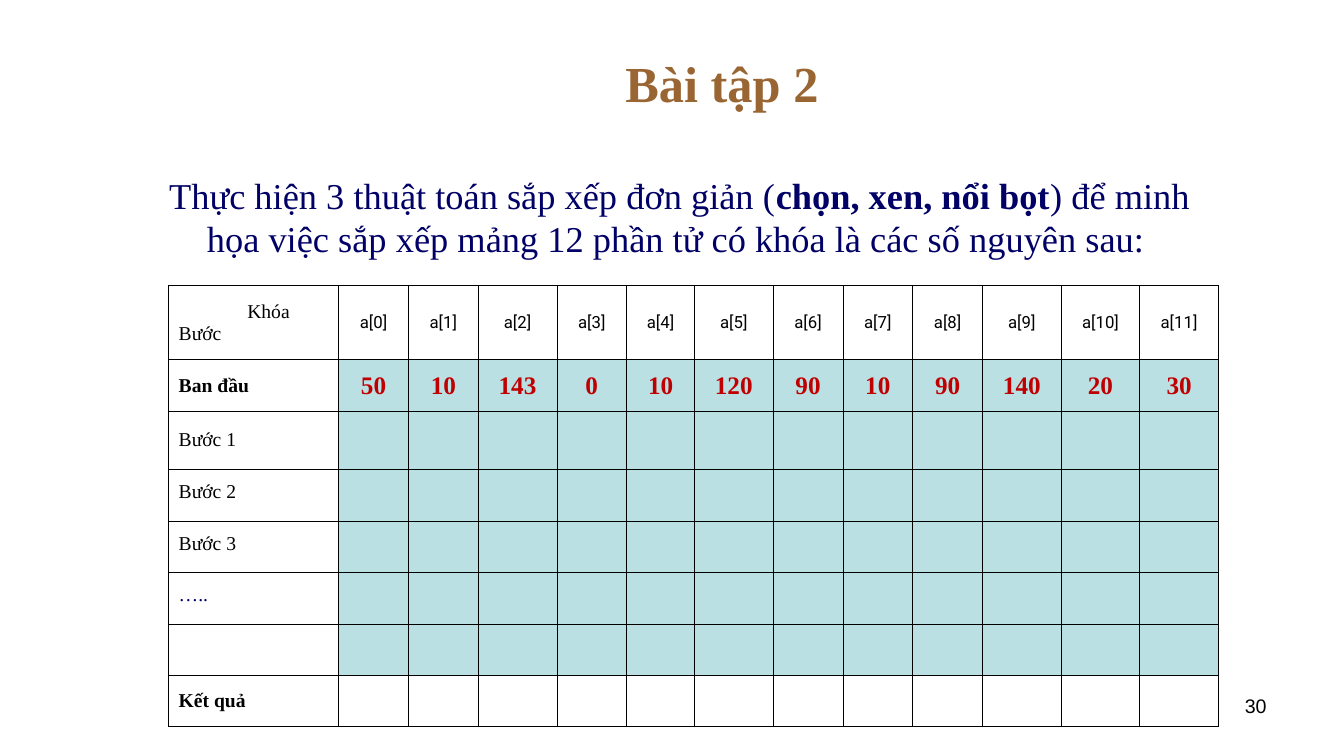
"""Build the sorting exercise slide with its step table."""
from lxml.etree import SubElement as Sub
from pptx import Presentation
from pptx.dml.color import RGBColor as RGB
from pptx.enum.text import MSO_ANCHOR as ANCHOR, PP_ALIGN as ALIGN
from pptx.oxml.ns import qn
from pptx.util import Pt

SERIF, SANS, HEAD = "Times New Roman", "Arial", "Roboto"
BLACK, NAVY, BROWN, RED, TEAL = "000000", "000066", "996633", "C00000", "BBE0E3"

TITLE = "Bài tập 2"
TASK = [
    ("Thực hiện 3 thuật toán sắp xếp đơn giản (", False),
    ("chọn, xen, nổi bọt", True),
    (") để minh họa việc sắp xếp mảng 12 phần tử có khóa là các số nguyên sau:", False),
]
PAGE = "30"
KEYS = [50, 10, 143, 0, 10, 120, 90, 10, 90, 140, 20, 30]
CORNER = [("Khóa", 49), ("Bước", 0)]
STEPS = [
    ("Ban đầu", BLACK, True, 1),
    ("Bước 1", BLACK, False, 1),
    ("Bước 2", BLACK, False, 0.6),
    ("Bước 3", BLACK, False, 0.6),
    ("…..", NAVY, False, 0.6),
    ("", BLACK, False, 1),
    ("Kết quả", BLACK, True, 1),
]
SLIM, MID, WIDE = 48.5, 49.9, 56.2
COLS = [121.5, MID, MID, WIDE, MID, SLIM, WIDE, MID, MID, MID, WIDE, WIDE, WIDE]
ROWS = [52.9, 37.2, 40.8, 37.2, 36.5, 37.2, 36.5, 36.5]


def color(code):
    return RGB.from_string(code)


def write(para, text, size, face, hue, bold=False):
    run = para.add_run()
    run.text = text
    font = run.font
    font.size, font.name, font.bold = Pt(size), face, bold
    font.color.rgb = color(hue)


def indent(para, left, first=0):
    props = para._p.get_or_add_pPr()
    props.set("marL", str(Pt(left)))
    props.set("indent", str(Pt(first)))


def box(left, top, width, height, align, anchor=ANCHOR.TOP):
    frame = slide.shapes.add_textbox(Pt(left), Pt(top), Pt(width), Pt(height)).text_frame
    frame.word_wrap = True
    frame.vertical_anchor = anchor
    para = frame.paragraphs[0]
    para.alignment = align
    return para


def style(cell, fill):
    cell.vertical_anchor = ANCHOR.MIDDLE
    props = cell._tc.get_or_add_tcPr()
    for side in ("lnL", "lnR", "lnT", "lnB"):
        line = Sub(props, qn("a:" + side), w=str(Pt(0.45)))
        Sub(Sub(line, qn("a:solidFill")), qn("a:srgbClr"), val=BLACK)
    if fill:
        cell.fill.solid()
        cell.fill.fore_color.rgb = color(fill)
    else:
        cell.fill.background()


deck = Presentation()
deck.slide_width, deck.slide_height = Pt(960.5), Pt(540)
slide = deck.slides.add_slide(deck.slide_layouts[6])

write(box(120, 21.6, 792, 74, ALIGN.CENTER, ANCHOR.MIDDLE), TITLE, 36, SERIF, BROWN, True)

grid = slide.shapes.add_table(len(ROWS), len(COLS), Pt(120.5), Pt(204),
                              Pt(sum(COLS)), Pt(sum(ROWS))).table
grid.first_row = grid.horz_banding = False
for col, width in zip(grid.columns, COLS):
    col.width = Pt(width)
for row, height in zip(grid.rows, ROWS):
    row.height = Pt(height)
for r in range(len(ROWS)):
    for c in range(len(COLS)):
        style(grid.cell(r, c), TEAL if c and 0 < r < len(ROWS) - 1 else None)

frame = grid.cell(0, 0).text_frame
for i, (text, left) in enumerate(CORNER):
    para = frame.add_paragraph() if i else frame.paragraphs[0]
    indent(para, left)
    write(para, text, 14, SERIF, BLACK)

for c, key in enumerate(KEYS):
    for r, look in enumerate([(f"a[{c}]", 12, HEAD, BLACK), (str(key), 18, SERIF, RED, True)]):
        para = grid.cell(r, c + 1).text_frame.paragraphs[0]
        para.alignment = ALIGN.CENTER
        write(para, *look)

for r, (text, hue, bold, space) in enumerate(STEPS, 1):
    if text:
        para = grid.cell(r, 0).text_frame.paragraphs[0]
        para.line_spacing = space
        write(para, text, 14, SERIF, hue, bold)

write(box(688.3, 491.8, 224, 37.4, ALIGN.RIGHT), PAGE, 14, SANS, BLACK)

task = box(113.8, 120, 756, 80, ALIGN.LEFT)
indent(task, 27, -27)
for text, bold in TASK:
    write(task, text, 26, SERIF, NAVY, bold)

deck.save("out.pptx")
